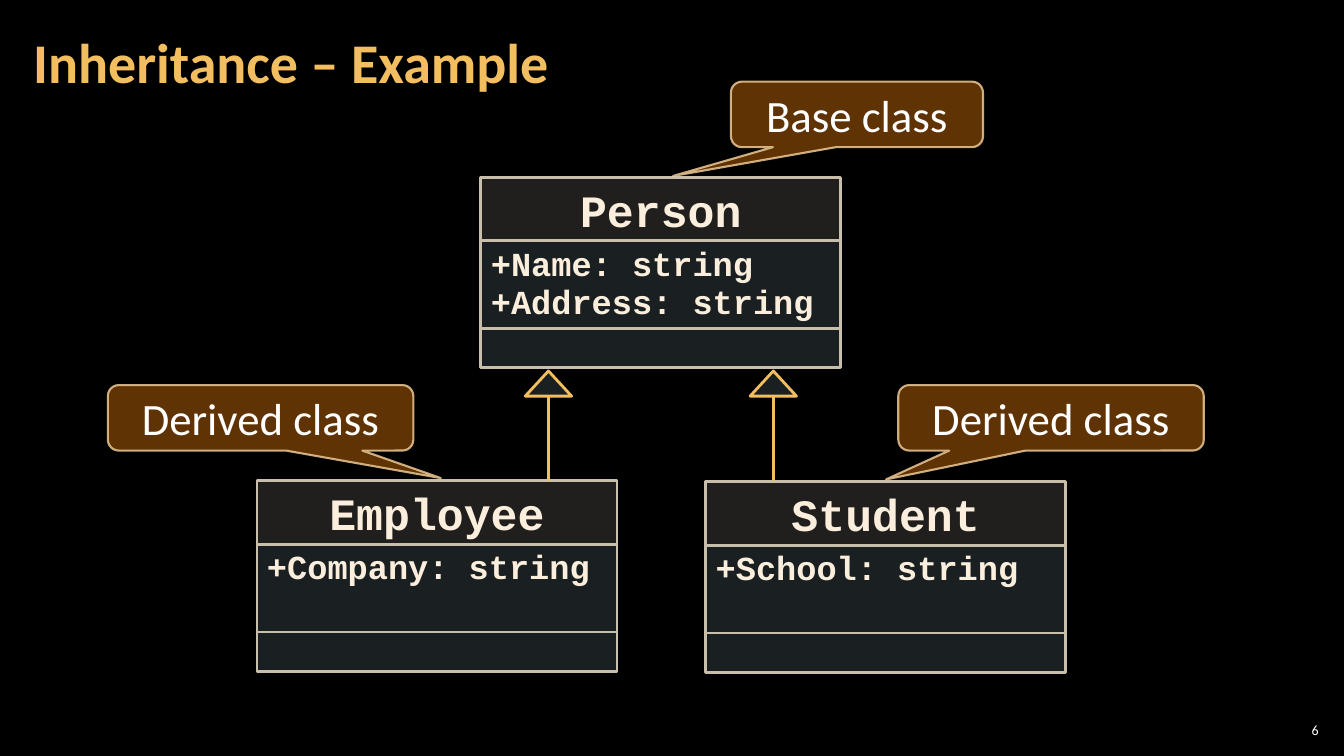
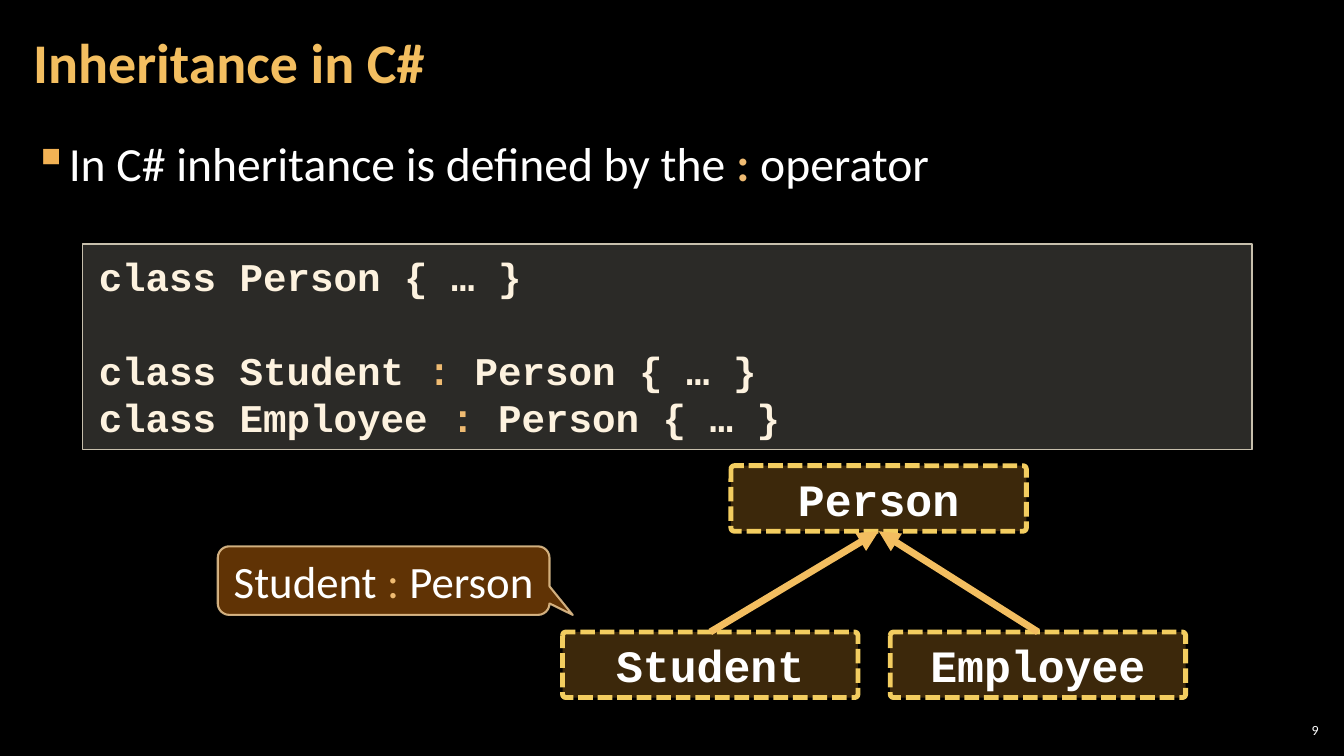
"""Build two slides on class inheritance: a class diagram and its C# syntax."""
from dataclasses import dataclass
from typing import Any

from lxml.etree import SubElement
from pptx import Presentation
from pptx.dml.color import RGBColor
from pptx.enum.dml import MSO_LINE
from pptx.enum.shapes import MSO_CONNECTOR, MSO_SHAPE
from pptx.enum.text import MSO_ANCHOR, PP_ALIGN
from pptx.oxml.ns import qn
from pptx.util import Inches, Pt

HUES = {
    "back": "000000",
    "white": "FFFFFF",
    "gold": "F3BE60",
    "accent": "EFBB72",
    "bullet": "F2B254",
    "cream": "FBEEDC",
    "code": "FDF2DF",
    "sand": "D9D5C7",
    "ice": "B5DBE5",
    "edge": "C7BFAC",
    "brown": "663606",
    "rim": "F8D49E",
    "amber": "F0A22E",
    "dash": "F3CD60",
}


@dataclass(frozen=True)
class Face:
    font: str
    size: int
    hue: str
    bold: bool = False


@dataclass(frozen=True)
class Skin:
    fill: str
    fade: int
    line: str
    width: float
    haze: int = 100


@dataclass(frozen=True)
class Box:
    left: float
    top: float
    width: float
    height: float


@dataclass(frozen=True)
class Entry:
    name: str
    left: float
    top: float
    fields: tuple[str, ...]


@dataclass(frozen=True)
class Bubble:
    text: str
    box: Box
    tip: tuple[float, float]


@dataclass(frozen=True)
class Node:
    name: str
    left: float
    top: float


SANS, MONO = "Calibri", "Courier New"
TITLE = Face(SANS, 40, "gold", True)
BODY = Face(SANS, 34, "white")
LABEL = Face(SANS, 32, "white")
FOOT = Face(SANS, 10, "white")
NAME = Face(MONO, 32, "cream", True)
FIELD = Face(MONO, 24, "cream", True)
CODE = Face(MONO, 28, "code", True)
NODE = Face(MONO, 32, "white", True)

HEAD = Skin("sand", 15, "edge", 2)
CELL = Skin("ice", 15, "edge", 2)
TIP = Skin("ice", 15, "gold", 2)
NOTE = Skin("brown", 95, "rim", 1.5, 80)
PANEL = Skin("sand", 20, "edge", 1)
DASHED = Skin("amber", 25, "dash", 3.5)

CLASSES = (
    Entry("Person", 4.77, 1.76, ("+Name: string", "+Address: string")),
    Entry("Employee", 2.55, 4.77, ("+Company: string",)),
    Entry("Student", 7, 4.78, ("+School: string",)),
)
BUBBLES = (
    Bubble("Derived class", Box(1.07, 3.82, 3.03, 0.65), (0.59, 0.92)),
    Bubble("Derived class", Box(8.91, 3.82, 3.03, 0.65), (-0.54, 0.94)),
    Bubble("Base class", Box(7.25, 0.81, 2.5, 0.65), (-0.73, 0.94)),
)
SYNTAX = Bubble("Student |:| Person", Box(2.16, 5.42, 3.29, 0.68), (0.57, 0.5))
BASE = Node("Person", 7.25, 4.62)
KIDS = (Node("Student", 5.58, 6.27), Node("Employee", 8.83, 6.27))
NODE_W, NODE_H = 2.93, 0.65
LINES = (
    "class Person { … }",
    "class Student |:| Person { … }",
    "class Employee |:| Person { … }",
)


def apply(target: Any, values: dict[str, Any]) -> None:
    for key, value in values.items():
        setattr(target, key, value)


def color(hue: str) -> RGBColor:
    return RGBColor.from_string(HUES[hue])


def fade(shape: Any, route: str, share: int) -> None:
    if share < 100:
        for node in shape.element.spPr.xpath(route):
            SubElement(node, qn("a:alpha"), val=str(share * 1000))


def place(box: Box) -> tuple:
    return Inches(box.left), Inches(box.top), Inches(box.width), Inches(box.height)


def write(par: Any, text: str, face: Face, strong: bool = False) -> None:
    for spot, part in enumerate(text.split("|")):
        run = par.add_run()
        run.text = part
        marked = spot % 2 == 1
        apply(run.font, {
            "name": face.font,
            "size": Pt(face.size),
            "bold": face.bold or (marked and strong),
        })
        run.font.color.rgb = color("accent" if marked else face.hue)


def frame(shape: Any, pad: tuple[float, float],
          anchor: MSO_ANCHOR = MSO_ANCHOR.MIDDLE) -> Any:
    side, end = Inches(pad[0]), Inches(pad[1])
    apply(shape.text_frame, {
        "word_wrap": True,
        "vertical_anchor": anchor,
        "margin_left": side,
        "margin_right": side,
        "margin_top": end,
        "margin_bottom": end,
    })
    return shape.text_frame


def draw(slide: Any, kind: MSO_SHAPE, box: Box, skin: Skin) -> Any:
    shape = slide.shapes.add_shape(kind, *place(box))
    shape.shadow.inherit = False
    shape.fill.solid()
    shape.fill.fore_color.rgb = color(skin.fill)
    shape.line.color.rgb = color(skin.line)
    shape.line.width = Pt(skin.width)
    fade(shape, "a:solidFill/a:srgbClr", skin.fade)
    fade(shape, "a:ln/a:solidFill/a:srgbClr", skin.haze)
    return shape


def label(shape: Any, text: str, face: Face) -> None:
    par = frame(shape, (0.1, 0.05)).paragraphs[0]
    par.alignment = PP_ALIGN.CENTER
    write(par, text, face)


def link(slide: Any, start: tuple[float, float], end: tuple[float, float],
         width: float, arrow: bool = False) -> None:
    ends = [Inches(value) for value in (*start, *end)]
    line = slide.shapes.add_connector(MSO_CONNECTOR.STRAIGHT, *ends)
    line.line.color.rgb = color("gold")
    line.line.width = Pt(width)
    props = line.element.spPr
    if arrow:
        SubElement(props.find(qn("a:ln")), qn("a:tailEnd"), type="triangle")
    SubElement(props, qn("a:effectLst"))


def text_box(slide: Any, box: Box, pad: tuple[float, float],
             anchor: MSO_ANCHOR = MSO_ANCHOR.MIDDLE) -> Any:
    shape = slide.shapes.add_textbox(*place(box))
    return frame(shape, pad, anchor).paragraphs[0]


def start(deck: Any, title: str, page: int) -> Any:
    slide = deck.slides.add_slide(deck.slide_layouts[6])
    slide.background.fill.solid()
    slide.background.fill.fore_color.rgb = color("back")
    par = text_box(slide, Box(0.21, 0.04, 10.47, 1.21), (0.12, 0.04))
    par.line_spacing = 0.9
    write(par, title, TITLE)
    par = text_box(slide, Box(12.65, 7.14, 0.47, 0.21), (0.04, 0.04))
    par.alignment = PP_ALIGN.RIGHT
    write(par, str(page), FOOT)
    return slide


def stack(frame_: Any, lines: tuple[str, ...], face: Face) -> list:
    pars = [frame_.paragraphs[0]]
    pars += [frame_.add_paragraph() for _ in lines[1:]]
    for par, text in zip(pars, lines):
        par.alignment = PP_ALIGN.LEFT
        write(par, text, face)
    return pars


def entry(slide: Any, item: Entry) -> None:
    top = item.top
    parts = []
    for height, skin in ((0.63, HEAD), (0.87, CELL), (0.39, CELL)):
        box = Box(item.left, top, 3.57, height)
        parts.append(draw(slide, MSO_SHAPE.RECTANGLE, box, skin))
        top += height
    label(parts[0], item.name, NAME)
    body = frame(parts[1], (0.1, 0.05), MSO_ANCHOR.TOP)
    for par in stack(body, item.fields, FIELD):
        par.line_spacing = 0.95


def bubble(slide: Any, item: Bubble) -> None:
    shape = draw(slide, MSO_SHAPE.ROUNDED_RECTANGULAR_CALLOUT, item.box, NOTE)
    for spot, value in enumerate(item.tip):
        shape.adjustments[spot] = value
    label(shape, item.text, LABEL)


def node(slide: Any, item: Node) -> None:
    box = Box(item.left, item.top, NODE_W, NODE_H)
    shape = draw(slide, MSO_SHAPE.ROUNDED_RECTANGLE, box, DASHED)
    shape.adjustments[0] = 0.05
    shape.line.dash_style = MSO_LINE.SQUARE_DOT
    label(shape, item.name, NODE)


def diagram(deck: Any) -> None:
    slide = start(deck, "Inheritance – Example", 6)
    for item in CLASSES:
        entry(slide, item)
    for mid in (5.44, 7.67):
        link(slide, (mid, 3.93), (mid, 4.77), 2)
        box = Box(mid - 0.23, 3.68, 0.46, 0.25)
        draw(slide, MSO_SHAPE.ISOSCELES_TRIANGLE, box, TIP)
    for item in BUBBLES:
        bubble(slide, item)


def syntax(deck: Any) -> None:
    slide = start(deck, "Inheritance in C#", 9)
    par = text_box(slide, Box(0.21, 1.26, 12.91, 0.9), (0.12, 0.04), MSO_ANCHOR.TOP)
    props = par._p.get_or_add_pPr()
    apply_indent = {"marL": Inches(0.33), "indent": Inches(-0.33)}
    for key, value in apply_indent.items():
        props.set(key, str(value))
    tint = SubElement(props, qn("a:buClr"))
    SubElement(tint, qn("a:srgbClr"), val=HUES["bullet"])
    SubElement(props, qn("a:buChar"), char="▪")
    par.line_spacing = 1.05
    write(par, "In C# inheritance is defined by the |:| operator", BODY, True)

    panel = draw(slide, MSO_SHAPE.RECTANGLE, Box(0.82, 2.42, 11.6, 2.04), PANEL)
    pars = stack(frame(panel, (0.16, 0.08), MSO_ANCHOR.TOP), LINES, CODE)
    pars[1].space_before = Pt(33.5)

    for item in (BASE, *KIDS):
        node(slide, item)
    goal = (BASE.left + NODE_W / 2, BASE.top + NODE_H)
    for kid in KIDS:
        link(slide, (kid.left + NODE_W / 2, kid.top), goal, 5, True)
    bubble(slide, SYNTAX)


def main() -> None:
    deck = Presentation()
    apply(deck, {"slide_width": Inches(13.33), "slide_height": Inches(7.5)})
    diagram(deck)
    syntax(deck)
    deck.save("out.pptx")


if __name__ == "__main__":
    main()
